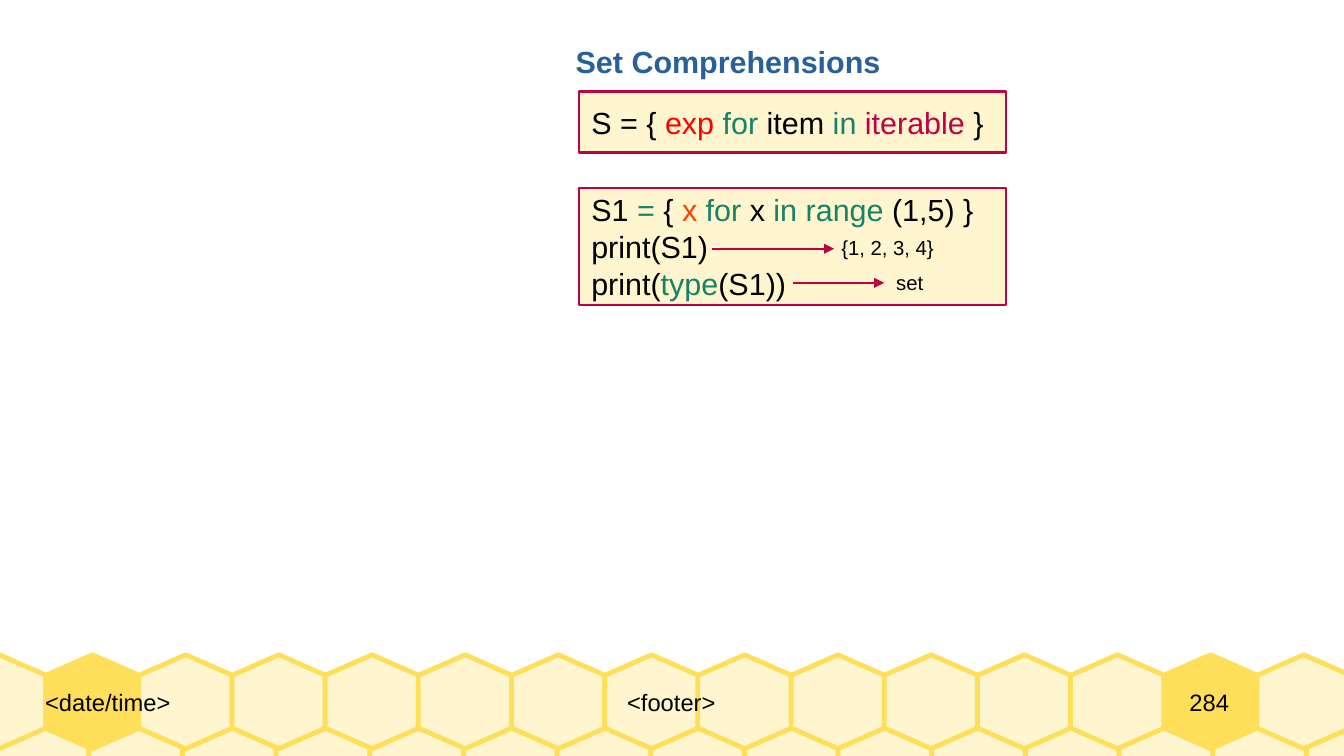
from dataclasses import dataclass

from lxml import etree
from pptx import Presentation
from pptx.dml.color import RGBColor
from pptx.enum.shapes import MSO_CONNECTOR, MSO_SHAPE
from pptx.enum.text import MSO_ANCHOR, MSO_AUTO_SIZE, PP_ALIGN
from pptx.oxml.ns import qn
from pptx.util import Emu, Inches, Pt

STRAIGHT, RECTANGLE = MSO_CONNECTOR.STRAIGHT, MSO_SHAPE.RECTANGLE
TOP, MIDDLE = MSO_ANCHOR.TOP, MSO_ANCHOR.MIDDLE
GROW, FIXED = MSO_AUTO_SIZE.SHAPE_TO_FIT_TEXT, MSO_AUTO_SIZE.NONE
LEFT, CENTER, JUSTIFY = PP_ALIGN.LEFT, PP_ALIGN.CENTER, PP_ALIGN.JUSTIFY
LEFT_SIDE = 1

BLACK = RGBColor(0x00, 0x00, 0x00)
BLUE = RGBColor(0x2A, 0x60, 0x99)
CREAM = RGBColor(0xFF, 0xF5, 0xCE)
HONEY = RGBColor(0xFF, 0xDE, 0x59)
CRIMSON = RGBColor(0xBF, 0x00, 0x41)
RED = RGBColor(0xFF, 0x00, 0x00)
ORANGE = RGBColor(0xFF, 0x40, 0x00)
GREEN = RGBColor(0x15, 0x84, 0x66)

CELL = Inches(0.1)
COLUMNS, ROWS = 110.2, 62
COMB_ROW, COMB_SIZE = 53.7, 7.7
COMB_COUNT = 15


Line = list[tuple[str, RGBColor]]


@dataclass(frozen=True)
class Area:
    """A rectangle in grid columns and rows."""
    column: float
    row: float
    width: float
    height: float

    def emu(self) -> tuple[Emu, Emu, Emu, Emu]:
        return cells(self.column), cells(self.row), cells(self.width), cells(self.height)


@dataclass(frozen=True)
class Label:
    text: str
    area: Area
    size: int
    align: PP_ALIGN = LEFT
    anchor: MSO_ANCHOR = TOP
    grows: bool = True
    inset: float = 1


@dataclass(frozen=True)
class CodeBox:
    area: Area
    lines: list[Line]


@dataclass(frozen=True)
class Comb:
    """A row of hexagons; accents are the indexes filled with honey."""
    column: float
    row: float
    pitch: float
    accents: tuple[int, ...] = ()


COMBS = [
    Comb(-0.4, 59.6, 7.68),
    Comb(-3.9, COMB_ROW, 7.64, (1, 13)),
]
CODE_BOXES = [
    CodeBox(Area(47.5, 7.5, 35, 5), [
        [("S = { ", BLACK), ("exp ", RED), ("for", GREEN), (" item ", BLACK),
         ("in ", GREEN), ("iterable", CRIMSON), (" }", BLACK)],
    ]),
    CodeBox(Area(47.5, 15.4, 35, 9.6), [
        [("S1", BLACK), (" = ", GREEN), ("{ ", BLACK), ("x", ORANGE), (" for", GREEN),
         (" x ", BLACK), ("in range", GREEN), (" (1,5) }", BLACK)],
        [("print(S1)", BLACK)],
        [("print(", BLACK), ("type", GREEN), ("(S1))", BLACK)],
    ]),
]
TITLE = Label("Set Comprehensions", Area(46.2, 3, 30, 3.8), 18, grows=False)
FOOTERS = [
    Label("<date/time>", Area(3.7, COMB_ROW, 26.3, COMB_SIZE), 14, LEFT, MIDDLE, False, 0),
    Label("<footer>", Area(30, COMB_ROW, 50.1, COMB_SIZE), 14, CENTER, MIDDLE, False, 0),
    Label("284", Area(92.9, COMB_ROW, 12.5, COMB_SIZE), 14, CENTER, MIDDLE, False, 0),
]
SET_RESULT = Label("{1, 2, 3, 4}", Area(68, 18.8, 9.6, 3), 12)
TYPE_RESULT = Label("set", Area(72.5, 21.7, 4.2, 3), 12)


def cells(count: float) -> Emu:
    return Emu(round(count * CELL))


def apply_format(target, values: dict) -> None:
    for name, value in values.items():
        setattr(target, name, value)


def set_frame(frame, anchor: MSO_ANCHOR, auto_size: MSO_AUTO_SIZE, wrap: bool, inset: float) -> None:
    apply_format(frame, {
        "vertical_anchor": anchor, "auto_size": auto_size, "word_wrap": wrap,
        "margin_left": cells(inset), "margin_right": cells(inset),
        "margin_top": cells(inset / 2), "margin_bottom": cells(inset / 2),
    })


def write_line(para, line: Line, size: int, align: PP_ALIGN, bold: bool = False) -> None:
    para.alignment = align
    for text, color in line:
        span = para.add_run()
        span.text = text
        apply_format(span.font, {"name": "Arial", "size": Pt(size), "bold": bold})
        span.font.color.rgb = color


def paint(shape, fill: RGBColor, outline: RGBColor, width: float) -> None:
    shape.shadow.inherit = False
    shape.fill.solid()
    shape.fill.fore_color.rgb = fill
    shape.line.color.rgb = outline
    shape.line.width = Pt(width)


def add_hexagon(page, column: float, row: float, fill: RGBColor) -> None:
    outline = [(0.5, 0), (0, 0.22), (0, 0.78), (0.5, 1), (1, 0.78), (1, 0.22)]
    points = [(cells(column + x * COMB_SIZE), cells(row + y * COMB_SIZE)) for x, y in outline]
    builder = page.shapes.build_freeform(*points[0], scale=1.0)
    builder.add_line_segments(points[1:], close=True)
    paint(builder.convert_to_shape(), fill, HONEY, 2.83)


def add_comb(page, comb: Comb) -> None:
    for index in range(COMB_COUNT):
        fill = HONEY if index in comb.accents else CREAM
        add_hexagon(page, comb.column + index * comb.pitch, comb.row, fill)


def fill_label(box, label: Label, color: RGBColor, bold: bool = False) -> None:
    frame = box.text_frame
    set_frame(frame, label.anchor, GROW if label.grows else FIXED, not label.grows, label.inset)
    write_line(frame.paragraphs[0], [(label.text, color)], label.size, label.align, bold)


def add_label(page, label: Label):
    box = page.shapes.add_textbox(*label.area.emu())
    fill_label(box, label, BLACK)
    return box


def set_title(page, label: Label) -> None:
    title = page.shapes.title
    places = ("left", "top", "width", "height")
    apply_format(title, dict(zip(places, label.area.emu())))
    fill_label(title, label, BLUE, True)


def add_code_box(page, code: CodeBox) -> None:
    box = page.shapes.add_shape(RECTANGLE, *code.area.emu())
    paint(box, CREAM, CRIMSON, 1.42)
    frame = box.text_frame
    set_frame(frame, MIDDLE, FIXED, False, 1)
    for index, line in enumerate(code.lines):
        para = frame.add_paragraph() if index else frame.paragraphs[0]
        write_line(para, line, 18, JUSTIFY)


def add_arrow(page, start: float, end: float, row: float):
    arrow = page.shapes.add_connector(STRAIGHT, cells(start), cells(row), cells(end), cells(row))
    arrow.line.color.rgb = CRIMSON
    arrow.line.width = Pt(1.42)
    outline = arrow.line._get_or_add_ln()
    etree.SubElement(outline, qn("a:tailEnd"), type="triangle")
    etree.SubElement(outline.getparent(), qn("a:effectLst"))
    return arrow


def main() -> None:
    deck = Presentation()
    deck.slide_width, deck.slide_height = cells(COLUMNS), cells(ROWS)
    page = deck.slides.add_slide(deck.slide_layouts.get_by_name("Title Only"))
    for comb in COMBS:
        add_comb(page, comb)
    for footer in FOOTERS:
        add_label(page, footer)
    set_title(page, TITLE)
    for code in CODE_BOXES:
        add_code_box(page, code)
    add_arrow(page, 58.4, 68.4, 20.4)
    add_label(page, SET_RESULT)
    type_arrow = add_arrow(page, 65, 72.5, 23.2)
    type_arrow.end_connect(add_label(page, TYPE_RESULT), LEFT_SIDE)
    deck.save("out.pptx")


if __name__ == "__main__":
    main()
